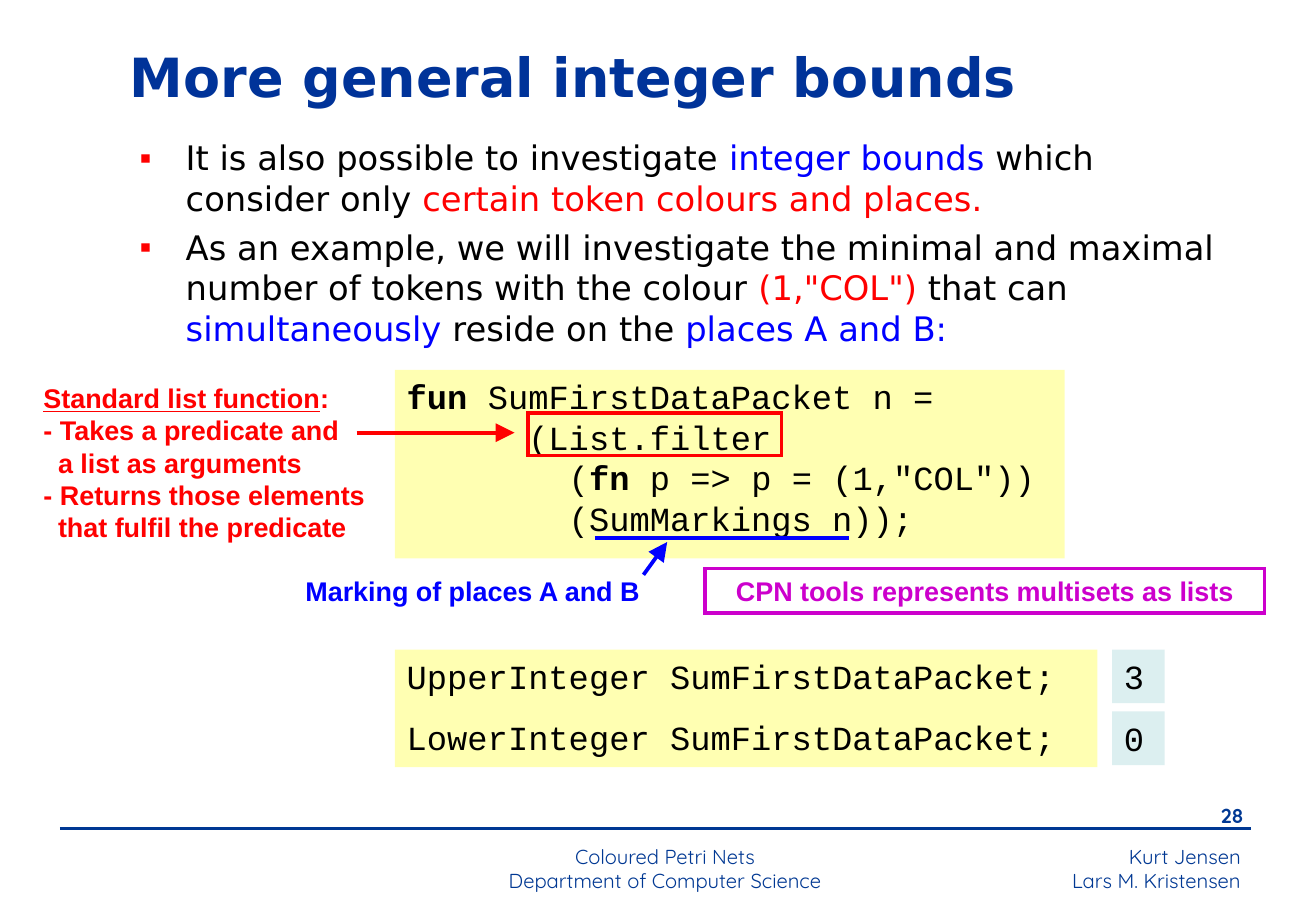
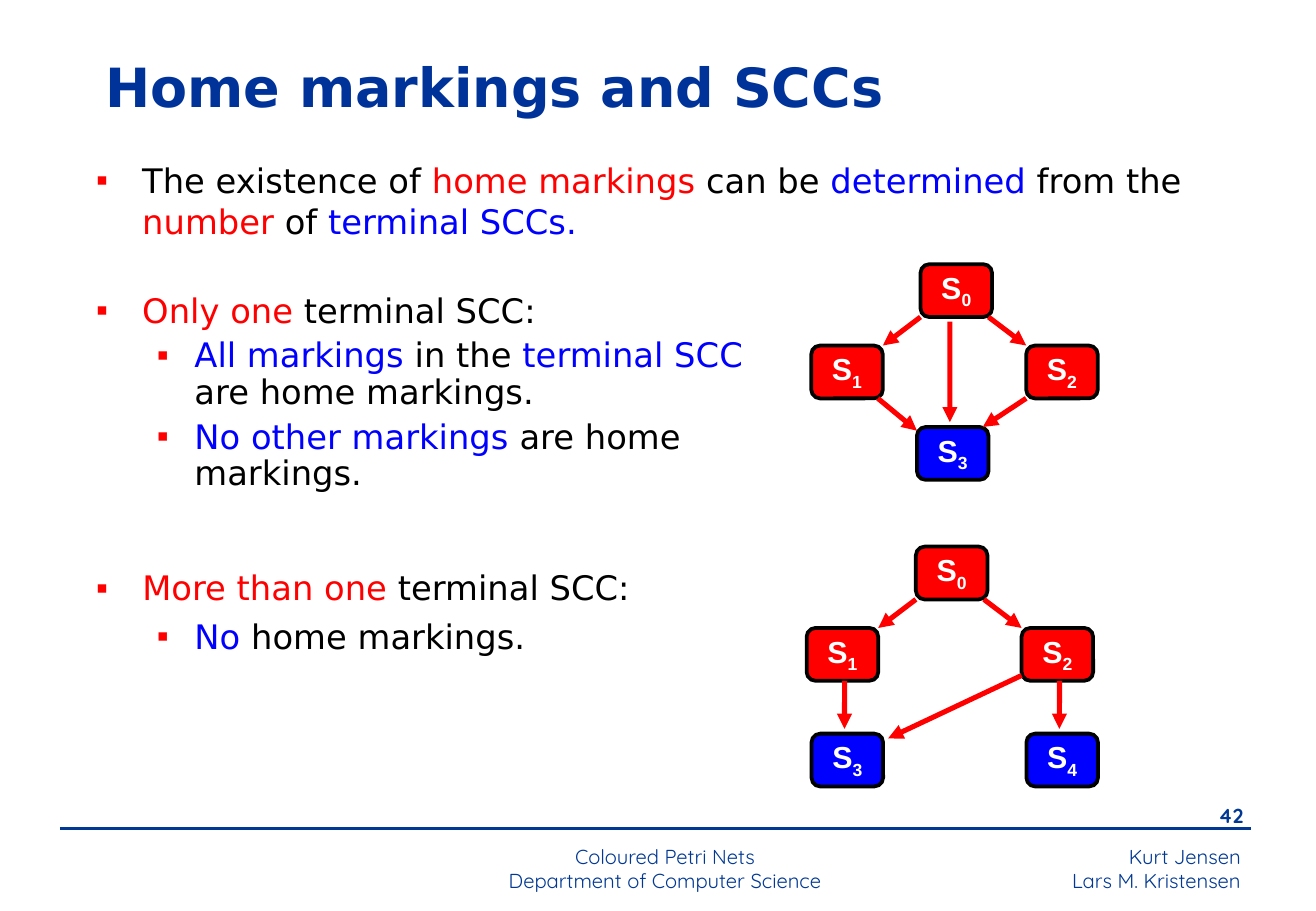
from dataclasses import dataclass

from lxml import etree
from pptx import Presentation
from pptx import util as u
from pptx.dml.color import RGBColor
from pptx.enum import shapes, text
from pptx.oxml import ns

WIDTH, HEIGHT = u.Inches(10.84), u.Inches(7.5)
COL, ROW = WIDTH / 100, HEIGHT / 100  # every place is given on a 100 x 100 grid

FOOTER, TITLE = "003893", "003399"
RED, BLUE, BLACK, WHITE = "FF0000", "0000FF", "000000", "FFFFFF"
MAGENTA, YELLOW, TEAL = "CC00CC", "FFFF66", "BBE0E3"
SANS, CODE, NOTE, SMALL = "DejaVu Sans", "Courier New", "Arial", "Quicksand"
LEFT, CENTER, RIGHT = (text.PP_ALIGN.LEFT, text.PP_ALIGN.CENTER,
                       text.PP_ALIGN.RIGHT)
INDENTS = [(0.38, 0.38), (0.81, 0.31)]  # left margin and hang by bullet level


@dataclass
class Style:
    font: str
    size: float
    color: str = BLACK
    bold: bool = False
    align: int = LEFT
    before: float = 0
    spacing: float = 1


BODY = Style(SANS, 20, before=5)
TIGHT = Style(SANS, 20, before=5, spacing=0.9)


def rgb(color):
    return RGBColor.from_string(color)


def sub(parent, tag, **attrs):
    return etree.SubElement(parent, ns.qn(tag), attrs)


def place(x, y, w, h):
    return [u.Emu(round(v)) for v in (x * COL, y * ROW, w * COL, h * ROW)]


def indent(p, left, hang):
    pPr = p._p.get_or_add_pPr()
    pPr.set("marL", str(u.Inches(left)))
    pPr.set("indent", str(-u.Inches(hang)))
    return pPr


def bullet(p, level):
    p.level = level
    pPr = indent(p, *INDENTS[level])
    sub(sub(pPr, "a:buClr"), "a:srgbClr", val=RED)
    sub(pPr, "a:buFont", typeface=NOTE)
    sub(pPr, "a:buChar", char="▪")


def add_run(p, content, style, color=None, bold=None, underline=None,
            baseline=None):
    r = p.add_run()
    r.text = content
    f = r.font
    f.name, f.size = style.font, u.Pt(style.size)
    f.bold = style.bold if bold is None else bold
    f.underline = underline
    f.color.rgb = rgb(color or style.color)
    if baseline:
        r._r.get_or_add_rPr().set("baseline", str(baseline * 1000))


def write(sp, paragraphs, style, anchor=text.MSO_ANCHOR.TOP, wrap=True):
    """Fill a shape; a paragraph is a list of (text, run options) pairs,
    and a newline in the text breaks the line."""
    tf = sp.text_frame
    tf.word_wrap, tf.vertical_anchor = wrap, anchor
    for i, runs in enumerate(paragraphs):
        p = tf.add_paragraph() if i else tf.paragraphs[0]
        p.alignment, p.line_spacing = style.align, style.spacing
        p.space_before = u.Pt(style.before if i else 0)
        for content, options in runs:
            for n, line in enumerate(content.split("\n")):
                if n:
                    p.add_line_break()
                add_run(p, line, style, **options)
    return tf


def plain(*lines):
    return [[(line, {})] for line in lines]


def add_text(slide, box, paragraphs, style, **options):
    return write(slide.shapes.add_textbox(*place(*box)), paragraphs, style,
                 **options)


def add_bullets(slide, box, items, style=BODY):
    """Items are (level, [(text, colour), ...])."""
    paragraphs = [[(t, {"color": c}) for t, c in runs] for _, runs in items]
    tf = add_text(slide, box, paragraphs, style)
    for p, (level, _) in zip(tf.paragraphs, items):
        bullet(p, level)


def add_box(slide, box, fill=None, alpha=None, line=None,
            preset=shapes.MSO_SHAPE.RECTANGLE):
    sp = slide.shapes.add_shape(preset, *place(*box))
    sp.shadow.inherit = False
    if fill:
        sp.fill.solid()
        sp.fill.fore_color.rgb = rgb(fill)
        if alpha:
            clr = sp._element.spPr.find(".//" + ns.qn("a:srgbClr"))
            sub(clr, "a:alpha", val=str(alpha * 1000))
    else:
        sp.fill.background()
    if line:
        sp.line.color.rgb, sp.line.width = rgb(line), u.Pt(2.25)
        sub(sp.line._get_or_add_ln(), "a:miter", lim="800000")
    else:
        sp.line.fill.background()
    return sp


def add_line(slide, start, end, color, width=2.25, head="lg"):
    """Draw a line; head is the arrowhead's size, or None."""
    cx = slide.shapes.add_connector(shapes.MSO_CONNECTOR.STRAIGHT,
                                    *place(*start, *end))
    cx.line.color.rgb, cx.line.width = rgb(color), u.Pt(width)
    if head:
        sub(cx.line._get_or_add_ln(), "a:tailEnd", type="triangle",
            w=head, len=head)
    sub(cx._element.spPr, "a:effectLst")


def add_listing(slide, box, paragraphs, fill=YELLOW, before=0):
    write(add_box(slide, box, fill, alpha=50), paragraphs,
          Style(CODE, 20, before=before))


def add_graph(slide, origin, nodes, edges):
    """Nodes map an index to (x, y, fill); edges join points given as
    (index, share of node width, share of node height)."""
    w, h = 5.44, 5.8
    label = Style(NOTE, 18, WHITE, bold=True, align=CENTER, spacing=0.7)
    corner = {i: (origin[0] + x, origin[1] + y)
              for i, (x, y, _) in nodes.items()}

    def point(i, across, down):
        x, y = corner[i]
        return x + across * w, y + down * h

    for i, (_, _, fill) in nodes.items():
        sp = add_box(slide, (*corner[i], w, h), fill, line=BLACK,
                     preset=shapes.MSO_SHAPE.ROUNDED_RECTANGLE)
        write(sp, [[("S", {}), (str(i), {"baseline": -25})]], label,
              anchor=text.MSO_ANCHOR.MIDDLE, wrap=False)
    for start, end in edges:
        add_line(slide, point(*start), point(*end), RED, 3, head="med")


def add_slide(prs, number, title, box):
    """Add a slide with its title, rule and footer."""
    slide = prs.slides.add_slide(prs.slide_layouts[6])
    for area, lines, align, bold in [
        ((64.1, 92, 31.1, 6.7), ("Kurt Jensen", "Lars M. Kristensen"),
         RIGHT, False),
        ((88.8, 87.5, 6.6, 4.4), (str(number),), RIGHT, True),
        ((31.5, 92, 38.1, 6.3),
         ("Coloured Petri Nets", "Department of Computer Science"),
         CENTER, False),
    ]:
        add_text(slide, area, plain(*lines),
                 Style(SMALL, 12, FOOTER, bold, align))
    add_line(slide, (4.55, 90.95), (95.05, 90.95), FOOTER, 1.5, head=None)
    add_text(slide, box, plain(title), Style(SANS, 32, TITLE, bold=True),
             anchor=text.MSO_ANCHOR.MIDDLE)
    return slide


def bounds_slide(prs):
    slide = add_slide(prs, 28, "More general integer bounds",
                      (8.95, 3.7, 76.3, 9.2))
    add_bullets(slide, (9.7, 14.4, 83.9, 24.7), [
        (0, [("It is also possible to investigate ", BLACK),
             ("integer bounds", BLUE), (" which consider only ", BLACK),
             ("certain token colours and places.", RED)]),
        (0, [("As an example, we will investigate the minimal and maximal "
              "number of tokens with the colour", BLACK),
             (' (1,"COL")', RED), (" that can ", BLACK),
             ("simultaneously", BLUE), (" reside on the ", BLACK),
             ("places A and B:", BLUE)]),
    ])

    keyword = {"bold": True}
    add_listing(slide, (30, 40.6, 50.9, 20.7), [
        [("fun", keyword), (" SumFirstDataPacket n =", {})],
        [("      (List.filter", {})],
        [("        (", {}), ("fn", keyword), (' p => p = (1,"COL"))', {})],
        [("        (SumMarkings n));", {})],
    ])
    note = add_text(slide, (2.4, 41.2, 26.6, 19.2), [
        [("Standard list function", {"underline": True}), (":", {})],
        *plain("- Takes a predicate and\na list as arguments",
               "- Returns those elements\nthat fulfil the predicate"),
    ], Style(NOTE, 16, RED, bold=True))
    for p in note.paragraphs[1:]:
        indent(p, 0.12, 0.12)
    add_line(slide, (27.1, 47.5), (39.1, 47.5), RED)
    add_box(slide, (40.1, 45.3, 19.3, 4.7), line=RED)

    add_text(slide, (22.3, 62.4, 28, 4.9), plain("Marking of places A and B"),
             Style(NOTE, 16, BLUE, bold=True))
    add_line(slide, (45.2, 59.1), (64.5, 59.1), BLUE, head=None)
    add_line(slide, (48.9, 63.1), (50.7, 59.5), BLUE)
    write(add_box(slide, (53.6, 62.4, 42.5, 4.9), line=MAGENTA),
          plain("CPN tools represents multisets as lists"),
          Style(NOTE, 16, MAGENTA, bold=True, align=CENTER))

    top = 71.3
    add_listing(slide, (30, top, 53.4, 12.9),
                plain("UpperInteger SumFirstDataPacket;",
                      "LowerInteger SumFirstDataPacket;"), before=12.5)
    for row, result in enumerate("30"):
        add_listing(slide, (84.5, top + 6.8 * row, 4, 5.9), plain(result),
                    fill=TEAL)


def home_slide(prs):
    slide = add_slide(prs, 42, "Home markings and SCCs",
                      (7.1, 4.8, 75.2, 9.2))
    left = 6.4
    add_bullets(slide, (left, 16.9, 86.1, 11.5), [
        (0, [("The existence of ", BLACK), ("home markings", RED),
             (" can be ", BLACK), ("determined", BLUE),
             (" from the ", BLACK), ("number", RED), (" of ", BLACK),
             ("terminal SCCs.", BLUE)]),
    ])
    add_bullets(slide, (left, 31.6, 54.5, 24.1), [
        (0, [("Only one", RED), (" terminal SCC:", BLACK)]),
        (1, [("All markings", BLUE), (" in the ", BLACK),
             ("terminal SCC", BLUE), (" are home markings.", BLACK)]),
        (1, [("No other markings", BLUE), (" are home markings.", BLACK)]),
    ], TIGHT)
    add_bullets(slide, (left, 61.6, 44.3, 12.5), [
        (0, [("More than one", RED), (" terminal SCC:", BLACK)]),
        (1, [("No", BLUE), (" home markings.", BLACK)]),
    ])

    top_nodes = {0: (8.3, 0, RED), 1: (0, 8.93, RED), 2: (16.33, 8.93, RED)}
    top_edges = [((0, 0, 1), (1, 1, 0)), ((0, 0.95, 1), (2, 0, 0))]
    add_graph(slide, (61.65, 29), {**top_nodes, 3: (8.03, 17.87, BLUE)}, [
        *top_edges,
        ((0, 0.41, 1.09), (3, 0.46, -0.09)),
        ((1, 0.93, 1), (3, 0, 0.07)),
        ((2, 0, 1), (3, 0.92, 0)),
    ])
    add_graph(slide, (61.3, 60), {
        **top_nodes, 3: (0.37, 20.53, BLUE), 4: (16.7, 20.53, BLUE),
    }, [
        *top_edges,
        ((1, 0.53, 1), (3, 0.46, -0.09)),
        ((2, 0.53, 1), (4, 0.46, -0.09)),
        ((2, 0, 0.9), (3, 1.07, 0.09)),
    ])


def main():
    prs = Presentation()
    prs.slide_width, prs.slide_height = WIDTH, HEIGHT
    bounds_slide(prs)
    home_slide(prs)
    prs.save("out.pptx")


if __name__ == "__main__":
    main()
